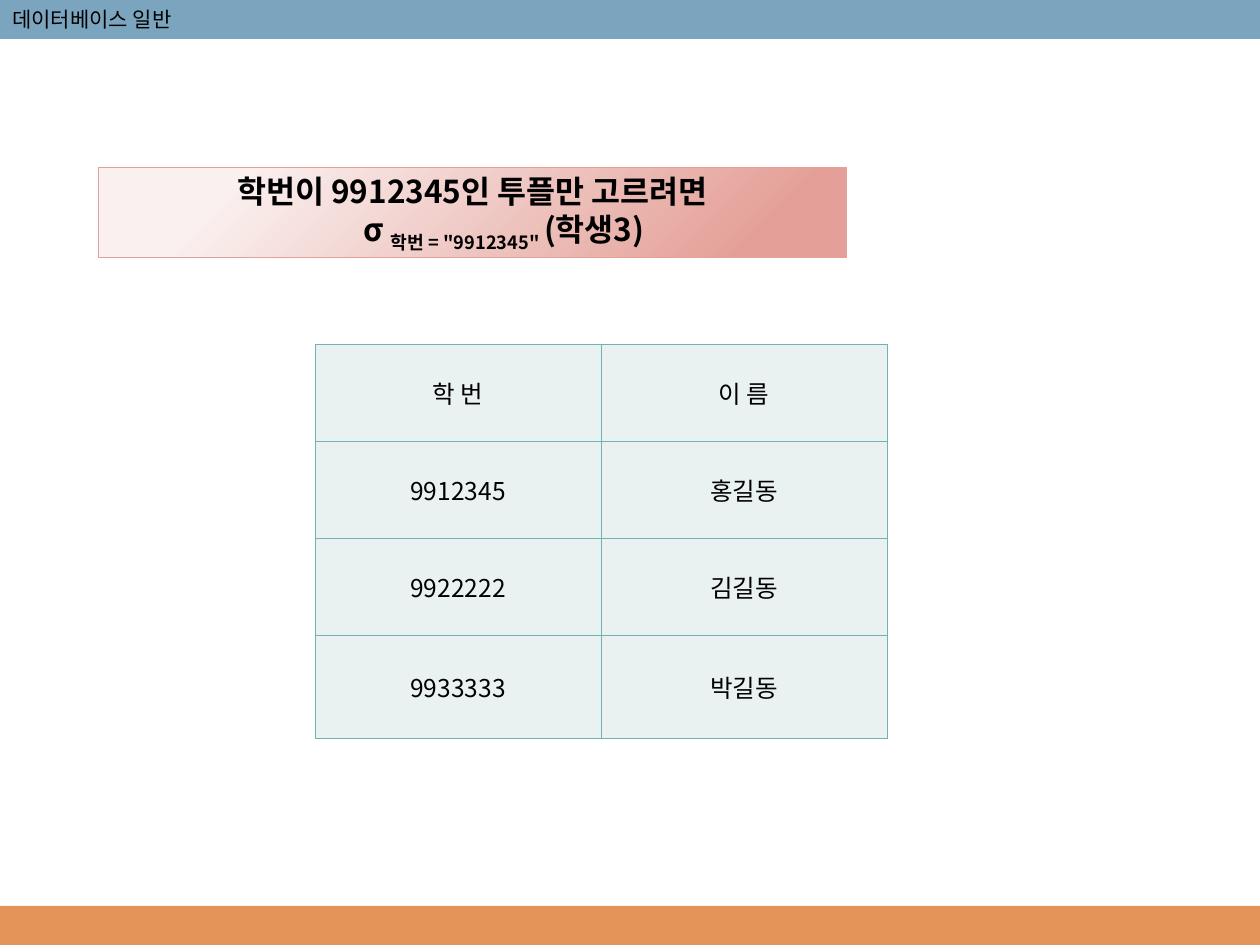
import pptx
import pptx.util
import pptx.dml.color
import pptx.enum.shapes
import pptx.enum.text
import pptx.oxml
import pptx.oxml.ns

Inches = pptx.util.Inches
Pt = pptx.util.Pt
RGBColor = pptx.dml.color.RGBColor
Align = pptx.enum.text.PP_ALIGN
Anchor = pptx.enum.text.MSO_ANCHOR
AutoSize = pptx.enum.text.MSO_AUTO_SIZE

BLACK = RGBColor(0x00, 0x00, 0x00)
BLUE = RGBColor(0x7B, 0xA5, 0xBE)
ORANGE = RGBColor(0xE4, 0x94, 0x58)
PALE_ROSE = RGBColor(0xFA, 0xF0, 0xEF)
ROSE = RGBColor(0xE4, 0xA0, 0x98)
PALE_TEAL = RGBColor(0xE9, 0xF2, 0xF1)
TEAL = RGBColor(0x70, 0xB4, 0xB7)


class SlideBuilder:
    font = "Noto Sans CJK KR"
    line_width = Pt(0.5)

    def __init__(self, slide):
        self.slide = slide

    def add_text(self, paragraph, text, size, bold=False, baseline=None):
        run = paragraph.add_run()
        run.text = text
        run.font.name = self.font
        run.font.size = Pt(size)
        run.font.bold = bold
        run.font.color.rgb = BLACK
        properties = run.font._element
        east_asian = pptx.oxml.parse_xml(
            f'<a:ea {pptx.oxml.ns.nsdecls("a")} typeface="{self.font}"/>')
        properties.find(pptx.oxml.ns.qn("a:latin")).addnext(east_asian)
        if baseline is not None:
            properties.set("baseline", str(baseline * 1000))

    def rectangle(self, left, top, width, height):
        rectangle = self.slide.shapes.add_shape(
            pptx.enum.shapes.MSO_SHAPE.RECTANGLE,
            Inches(left), Inches(top), Inches(width), Inches(height))
        rectangle.shadow.inherit = False
        return rectangle

    def band(self, top, color):
        band = self.rectangle(0, top, 10, 0.31)
        band.fill.solid()
        band.fill.fore_color.rgb = color
        band.line.fill.background()

    def label(self, left, top, width, height, text, size):
        label = self.slide.shapes.add_textbox(
            Inches(left), Inches(top), Inches(width), Inches(height))
        label.text_frame.word_wrap = True
        label.text_frame.auto_size = AutoSize.SHAPE_TO_FIT_TEXT
        self.add_text(label.text_frame.paragraphs[0], text, size)

    def query_box(self, left, top, width, height, heading, formula, indent):
        box = self.rectangle(left, top, width, height)
        box.fill.gradient()
        box.fill.gradient_angle = 315
        stops = zip(box.fill.gradient_stops, (0.18, 0.87), (PALE_ROSE, ROSE))
        for stop, position, color in stops:
            stop.position = position
            stop.color.rgb = color
        box.line.color.rgb = ROSE
        box.line.width = self.line_width
        frame = box.text_frame
        frame.word_wrap = True
        frame.auto_size = AutoSize.SHAPE_TO_FIT_TEXT
        heading_line = frame.paragraphs[0]
        formula_line = frame.add_paragraph()
        heading_line.alignment = formula_line.alignment = Align.CENTER
        formula_line._p.get_or_add_pPr().set("marL", str(Inches(indent)))
        self.add_text(heading_line, heading, 18, bold=True)
        for text, baseline in formula:
            self.add_text(formula_line, text, 18, bold=True, baseline=baseline)

    def table(self, left, top, column_widths, row_heights, records):
        table = self.slide.shapes.add_table(
            len(row_heights), len(column_widths), Inches(left), Inches(top),
            Inches(sum(column_widths)), Inches(sum(row_heights))).table
        for column, width in zip(table.columns, column_widths):
            column.width = Inches(width)
        for row, height, record in zip(table.rows, row_heights, records):
            row.height = Inches(height)
            for cell, text in zip(row.cells, record):
                self.cell(cell, text)

    def cell(self, cell, text):
        cell.margin_left = cell.margin_right = 0
        cell.margin_top = cell.margin_bottom = 0
        cell.vertical_anchor = Anchor.MIDDLE
        cell.fill.solid()
        cell.fill.fore_color.rgb = PALE_TEAL
        paragraph = cell.text_frame.paragraphs[0]
        paragraph.alignment = Align.CENTER
        self.add_text(paragraph, text, 14)
        properties = cell._tc.get_or_add_tcPr()
        for index, side in enumerate(("lnL", "lnR", "lnT", "lnB")):
            border = pptx.oxml.parse_xml(
                f'<a:{side} {pptx.oxml.ns.nsdecls("a")} w="{self.line_width}">'
                f'<a:solidFill><a:srgbClr val="{TEAL}"/></a:solidFill>'
                f'</a:{side}>')
            properties.insert(index, border)


def main():
    presentation = pptx.Presentation()
    presentation.slide_width = Inches(10)
    presentation.slide_height = Inches(7.5)
    builder = SlideBuilder(
        presentation.slides.add_slide(presentation.slide_layouts[6]))

    builder.band(7.19, ORANGE)
    builder.band(0, BLUE)
    builder.label(0, 0, 1.73, 0.3, "데이터베이스 일반", 12)
    students = [
        ("학 번", "이 름"),
        ("9912345", "홍길동"),
        ("9922222", "김길동"),
        ("9933333", "박길동"),
    ]
    builder.table(2.5, 2.73, [2.27] * 2, [0.77] * 3 + [0.82], students)
    selection = [("σ ", None), ("학번 = \"9912345\" ", -25), ("(학생3)", None)]
    builder.query_box(0.78, 1.33, 5.94, 0.71,
                      "학번이 9912345인 투플만 고르려면", selection, 0.5)
    presentation.save("out.pptx")


if __name__ == "__main__":
    main()
